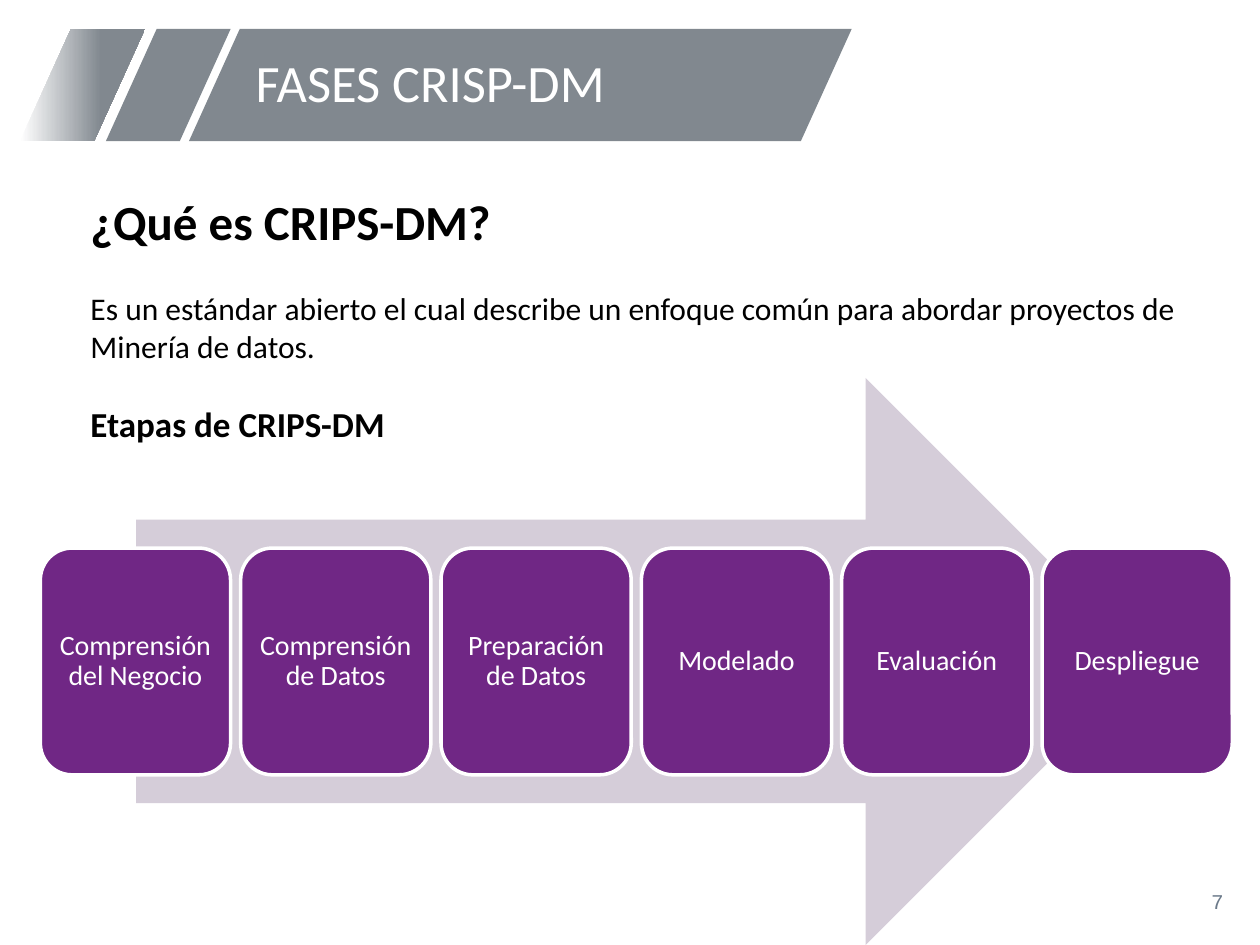
import pptx
import pptx.util
import pptx.dml.color
import pptx.enum.shapes
import pptx.enum.text

Inches = pptx.util.Inches
Pt = pptx.util.Pt
SHAPES = pptx.enum.shapes.MSO_SHAPE
ALIGN = pptx.enum.text.PP_ALIGN
ANCHOR = pptx.enum.text.MSO_ANCHOR

# Content
TITLE = "FASES CRISP-DM"
PAGE_NUMBER = "7"
# text, style, space before in points
BODY = [
    ("¿Qué es CRIPS-DM?", "heading", 0),
    ("Es un estándar abierto el cual describe un enfoque común para abordar proyectos de", "body", 22),
    ("Minería de datos.", "body", 0),
    ("Etapas de CRIPS-DM", "subheading", 22),
]
STAGES = [
    "Comprensión del Negocio",
    "Comprensión de Datos",
    "Preparación de Datos",
    "Modelado",
    "Evaluación",
    "Despliegue",
]

THEME = {
    "colors": {
        "white": "FFFFFF", "black": "000000", "banner": "81888F",
        "arrow": "D5CDD9", "stage": "702785", "number": "6C7A8A",
    },
    "styles": {
        "title": {"name": "Calibri", "size": Pt(30), "color": "white"},
        "heading": {"name": "Calibri", "size": Pt(28), "bold": True, "color": "black"},
        "body": {"name": "Calibri", "size": Pt(18), "color": "black"},
        "subheading": {"name": "Calibri", "size": Pt(20), "bold": True, "color": "black"},
        "stage": {"name": "Calibri", "size": Pt(16), "color": "white"},
        "number": {"name": "Courier New", "size": Pt(12), "color": "number"},
    },
}

# Layout in inches
BANNER_TOP, BANNER_HEIGHT, BANNER_SLANT = 0.23, 0.89, 0.453
BANNER_PIECES = [(1.5, 5.26), (0.84, 0.99), (0.16, 0.99)]
STAGE_LEFT, STAGE_TOP, STAGE_WIDTH, STAGE_HEIGHT = 0.32, 4.35, 1.51, 1.8
STAGE_STEP = 1.59


def color(name):
    return pptx.dml.color.RGBColor.from_string(THEME["colors"][name])


def add_filled(slide, kind, box, fill):
    shape = slide.shapes.add_shape(kind, *map(Inches, box))
    shape.shadow.inherit = False
    shape.fill.solid()
    shape.fill.fore_color.rgb = color(fill)
    shape.line.fill.background()
    return shape


def write(shape, lines, align, anchor=ANCHOR.MIDDLE, spacing=1.0, inset=None):
    frame = shape.text_frame
    frame.word_wrap = True
    frame.vertical_anchor = anchor
    if inset is not None:
        for side in ("left", "top", "right", "bottom"):
            setattr(frame, f"margin_{side}", Inches(inset))
    for index, (text, style, before) in enumerate(lines):
        paragraph = frame.add_paragraph() if index else frame.paragraphs[0]
        paragraph.alignment = align
        paragraph.line_spacing = spacing
        paragraph.space_before = Pt(before)
        run = paragraph.add_run()
        run.text = text
        for key, value in THEME["styles"][style].items():
            if key == "color":
                run.font.color.rgb = color(value)
            else:
                setattr(run.font, key, value)


def add_text(slide, box, lines, align, **options):
    write(slide.shapes.add_textbox(*map(Inches, box)), lines, align, **options)


def main():
    presentation = pptx.Presentation()
    presentation.slide_width, presentation.slide_height = Inches(10), Inches(7.5)
    slide = presentation.slides.add_slide(presentation.slide_layouts[6])

    # Slanted banner, its last piece fading to white on the left
    for left, width in BANNER_PIECES:
        piece = add_filled(slide, SHAPES.PARALLELOGRAM,
                           (left, BANNER_TOP, width, BANNER_HEIGHT), "banner")
        piece.adjustments[0] = BANNER_SLANT
    piece.fill.gradient()
    piece.fill.gradient_angle = 0
    for stop, (position, name) in zip(piece.fill.gradient_stops,
                                      [(0, "white"), (0.65, "banner")]):
        stop.position = position
        stop.color.rgb = color(name)

    # Page number, title and body text
    add_text(slide, (7.56, 6.95, 2.25, 0.4), [(PAGE_NUMBER, "number", 0)], ALIGN.RIGHT)
    add_text(slide, (1.93, BANNER_TOP, 4.69, BANNER_HEIGHT),
             [(TITLE, "title", 0)], ALIGN.LEFT, spacing=0.9)
    add_text(slide, (0.62, 1.47, 8.87, 3.62), BODY, ALIGN.JUSTIFY, anchor=ANCHOR.TOP)

    # Process arrow with the stages in front
    add_filled(slide, SHAPES.RIGHT_ARROW, (1.08, 3, 8.04, 4.5), "arrow")
    for index, stage in enumerate(STAGES):
        box = (STAGE_LEFT + index * STAGE_STEP, STAGE_TOP, STAGE_WIDTH, STAGE_HEIGHT)
        card = add_filled(slide, SHAPES.ROUNDED_RECTANGLE, box, "stage")
        card.line.color.rgb = color("white")
        card.line.width = Pt(2)
        write(card, [(stage, "stage", 0)], ALIGN.CENTER, spacing=0.9, inset=0.07)

    presentation.save("out.pptx")


if __name__ == "__main__":
    main()
